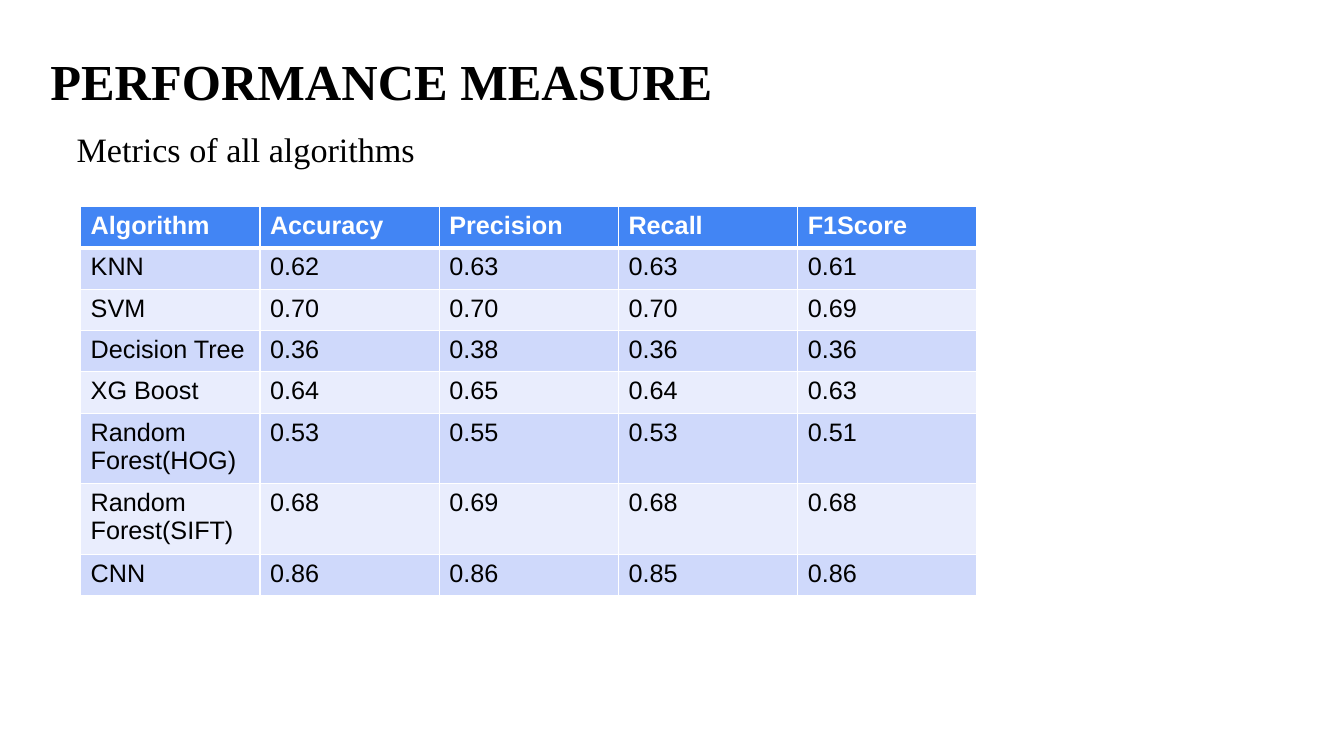
"""Build a slide with a table of performance metrics for several algorithms."""
from lxml.etree import SubElement
from pptx import Presentation
from pptx.dml.color import RGBColor
from pptx.oxml.ns import qn
from pptx.util import Inches, Pt


def color(hex_code):
    return RGBColor.from_string(hex_code)


def add_run(paragraph, text, size, font, hex_code, bold=False):
    run = paragraph.add_run()
    run.text = text
    run.font.size = Pt(size)
    run.font.name = font
    run.font.bold = bold
    run.font.color.rgb = color(hex_code)


prs = Presentation()
prs.slide_width, prs.slide_height = Inches(13.33), Inches(7.5)
slide = prs.slides.add_slide(prs.slide_layouts[6])

headings = [
    ("PERFORMANCE MEASURE", 0.37, 0.44, 12.36, 0.83, 36, True, 0.9),
    ("Metrics of all algorithms", 0.63, 1.14, 12.1, 0.7, 24.4, False, 1.0),
]
for text, left, top, width, height, size, bold, spacing in headings:
    frame = slide.shapes.add_textbox(
        Inches(left), Inches(top), Inches(width), Inches(height)).text_frame
    frame.word_wrap = True
    frame.margin_left = frame.margin_right = Inches(0.13)
    frame.margin_top = frame.margin_bottom = Inches(0.13)
    frame.paragraphs[0].line_spacing = spacing
    add_run(frame.paragraphs[0], text, size, "Times New Roman", "000000", bold)

metrics = [
    ("Algorithm", "Accuracy", "Precision", "Recall", "F1Score"),
    ("KNN", "0.62", "0.63", "0.63", "0.61"),
    ("SVM", "0.70", "0.70", "0.70", "0.69"),
    ("Decision Tree", "0.36", "0.38", "0.36", "0.36"),
    ("XG Boost", "0.64", "0.65", "0.64", "0.63"),
    ("Random Forest(HOG)", "0.53", "0.55", "0.53", "0.51"),
    ("Random Forest(SIFT)", "0.68", "0.69", "0.68", "0.68"),
    ("CNN", "0.86", "0.86", "0.85", "0.86"),
]
row_height = Inches(0.41)
table = slide.shapes.add_table(
    len(metrics), len(metrics[0]), Inches(0.8), Inches(2.05),
    Inches(8.89), row_height * len(metrics)).table

for r, row in enumerate(metrics):
    table.rows[r].height = row_height
    header = r == 0
    fill = "4285F4" if header else ("E9EDFD", "CFD9FB")[r % 2]
    borders = {"a:lnL": 1, "a:lnR": 1,
               "a:lnT": 3 if r == 1 else 1, "a:lnB": 3 if header else 1}
    for c, value in enumerate(row):
        cell = table.cell(r, c)
        properties = cell._tc.get_or_add_tcPr()
        for side, points in borders.items():
            line = SubElement(properties, qn(side), w=str(Pt(points)))
            SubElement(SubElement(line, qn("a:solidFill")), qn("a:srgbClr"), val="FFFFFF")
        cell.fill.solid()
        cell.fill.fore_color.rgb = color(fill)
        add_run(cell.text_frame.paragraphs[0], value, 18, "Arial",
                "FFFFFF" if header else "000000", header)

prs.save("out.pptx")
